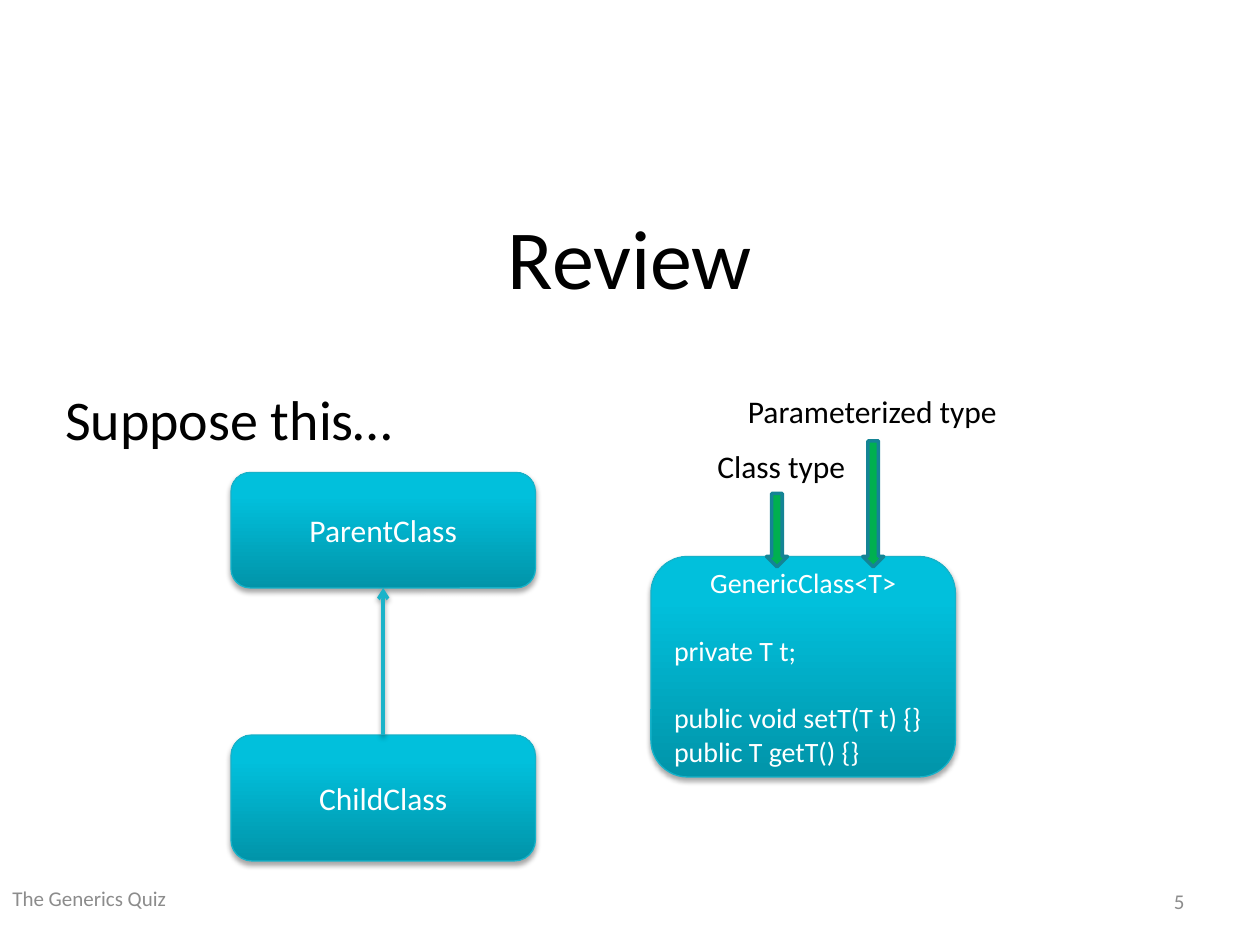
from copy import deepcopy
from lxml.etree import SubElement
from pptx import Presentation
from pptx.dml.color import RGBColor
from pptx.enum.shapes import MSO_CONNECTOR as Link, MSO_SHAPE as Shape
from pptx.enum.text import MSO_ANCHOR as Anchor, MSO_AUTO_SIZE as Fit, PP_ALIGN as Align
from pptx.oxml.ns import qn
from pptx.util import Pt

BLACK, WHITE = RGBColor(0, 0, 0), RGBColor(255, 255, 255)
GREY = RGBColor(0x8C, 0x8C, 0x8C)
EDGE, LINK = RGBColor(0x16, 0xB2, 0xC9), RGBColor(0x1B, 0xB3, 0xC9)
GREEN, TEAL = RGBColor(0, 0xB0, 0x50), RGBColor(0x14, 0x84, 0x95)
STOPS = [(0, RGBColor(0x01, 0x94, 0xA9)), (0.8, RGBColor(0x01, 0xC0, 0xDC)),
         (1, RGBColor(0, 0xC2, 0xDE))]

# Lines of text: (wording, alignment, space before)
GAP = 19.5
CODE = [("GenericClass<T>", Align.CENTER, 0),
        ("private T t;", Align.LEFT, GAP),
        ("public void setT(T t) {}", Align.LEFT, GAP),
        ("public T getT() {}", Align.LEFT, 0)]
TITLE = ("Review", Align.CENTER, 0)
BODY = ("Suppose this…", Align.LEFT, 0)

# Boxes are (left, top, width, height) in points
PARENT, CHILD = (132, 270, 174, 66), (132, 420, 174, 72)
CARDS = [(PARENT, [("ParentClass", Align.CENTER, 0)], 18),
         (CHILD, [("ChildClass", Align.CENTER, 0)], 18),
         ((372, 318, 174, 126), CODE, 16)]
ARROWS = [(438, 282), (493, 252)]
ARROW_END, ARROW_WIDTH = 324, 12
NOTES = [
    ((516, 500.5, 168, 28.75), ("5", Align.RIGHT, 0), 12, GREY, Anchor.MIDDLE),
    ((0, 499, 720, 28.75), ("The Generics Quiz", Align.LEFT, 0), 12, GREY, Anchor.MIDDLE),
    ((401, 252, 91, 29), ("Class type", Align.CENTER, 0), 18, BLACK, Anchor.TOP),
    ((420, 220.5, 157, 29), ("Parameterized type", Align.CENTER, 0), 18, BLACK, Anchor.TOP),
]


def place(box):
    """Turn a box in points into lengths."""
    return [Pt(n) for n in box]


def write(shape, lines, size, color, anchor=Anchor.MIDDLE):
    """Fill a shape with formatted paragraphs."""
    frame = shape.text_frame
    look = {"word_wrap": True, "auto_size": Fit.NONE, "vertical_anchor": anchor}
    for key, value in look.items():
        setattr(frame, key, value)
    frame.text = "\n".join(line[0] for line in lines)
    for para, (_, align, gap) in zip(frame.paragraphs, lines):
        para.alignment, para.space_before = align, Pt(gap)
        font = para.runs[0].font
        for key, value in {"name": "Calibri", "size": Pt(size)}.items():
            setattr(font, key, value)
        font.color.rgb = color


def shade(effects, alpha, dist):
    """Add a soft shadow below to an effect list."""
    drop = SubElement(effects, qn("a:outerShdw"), blurRad=str(Pt(3.1)),
                      dist=str(Pt(dist)), dir="5400000", rotWithShape="0")
    black = SubElement(drop, qn("a:srgbClr"), val="000000")
    SubElement(black, qn("a:alpha"), val=str(alpha * 1000))


def outline(shape, color, width):
    """Set the colour and width of a line."""
    shape.line.color.rgb, shape.line.width = color, Pt(width)


def add_card(shapes, box, lines, size):
    """Draw a rounded class box with gradient and shadow."""
    card = shapes.add_shape(Shape.ROUNDED_RECTANGLE, *place(box))
    card.fill.gradient()
    card.fill.gradient_angle = 90
    grads = card._element.spPr.find(".//" + qn("a:gsLst"))
    grads.append(deepcopy(grads[-1]))
    for stop, (spot, color) in zip(card.fill.gradient_stops, STOPS):
        stop.position, stop.color.rgb = spot, color
    outline(card, EDGE, 0.75)
    card.shadow.inherit = False
    shade(card._element.spPr.find(qn("a:effectLst")), 35, 1.8)
    write(card, lines, size, WHITE)


def add_link(shapes, child, parent):
    """Draw the arrow from the child class up to its parent."""
    mid = child[0] + child[2] / 2
    link = shapes.add_connector(
        Link.STRAIGHT, *place((mid, child[1], mid, parent[1] + parent[3])))
    outline(link, LINK, 2)
    props = link._element.spPr
    SubElement(props.find(qn("a:ln")), qn("a:tailEnd"), type="arrow")
    shade(SubElement(props, qn("a:effectLst")), 38, 1.6)


def add_arrow(shapes, left, top):
    """Draw a green block arrow down to the generic class."""
    box = (left, top, ARROW_WIDTH, ARROW_END - top)
    arrow = shapes.add_shape(Shape.DOWN_ARROW, *place(box))
    arrow.shadow.inherit = False
    arrow.fill.solid()
    arrow.fill.fore_color.rgb = GREEN
    outline(arrow, TEAL, 2)


def fill_holder(shape, box, line, size):
    """Move and write a template placeholder."""
    shape.left, shape.top, shape.width, shape.height = place(box)
    write(shape, [line], size, BLACK, Anchor.TOP)


deck = Presentation()
deck.slide_width, deck.slide_height = Pt(720), Pt(540)
slide = deck.slides.add_slide(deck.slide_layouts[1])
shapes = slide.shapes

fill_holder(shapes.title, (0, 114, 720, 65.5), TITLE, 48)
body = slide.placeholders[1]
fill_holder(body, (30, 216, 677.5, 104.5), BODY, 32)
props = body.text_frame.paragraphs[0]._p.get_or_add_pPr()
for key in ("marL", "indent"):
    props.set(key, "0")
SubElement(props, qn("a:buNone"))

for card in CARDS:
    add_card(shapes, *card)
add_link(shapes, CHILD, PARENT)
for spot in ARROWS:
    add_arrow(shapes, *spot)
for box, line, size, color, anchor in NOTES:
    write(shapes.add_textbox(*place(box)), [line], size, color, anchor)

deck.save("out.pptx")
